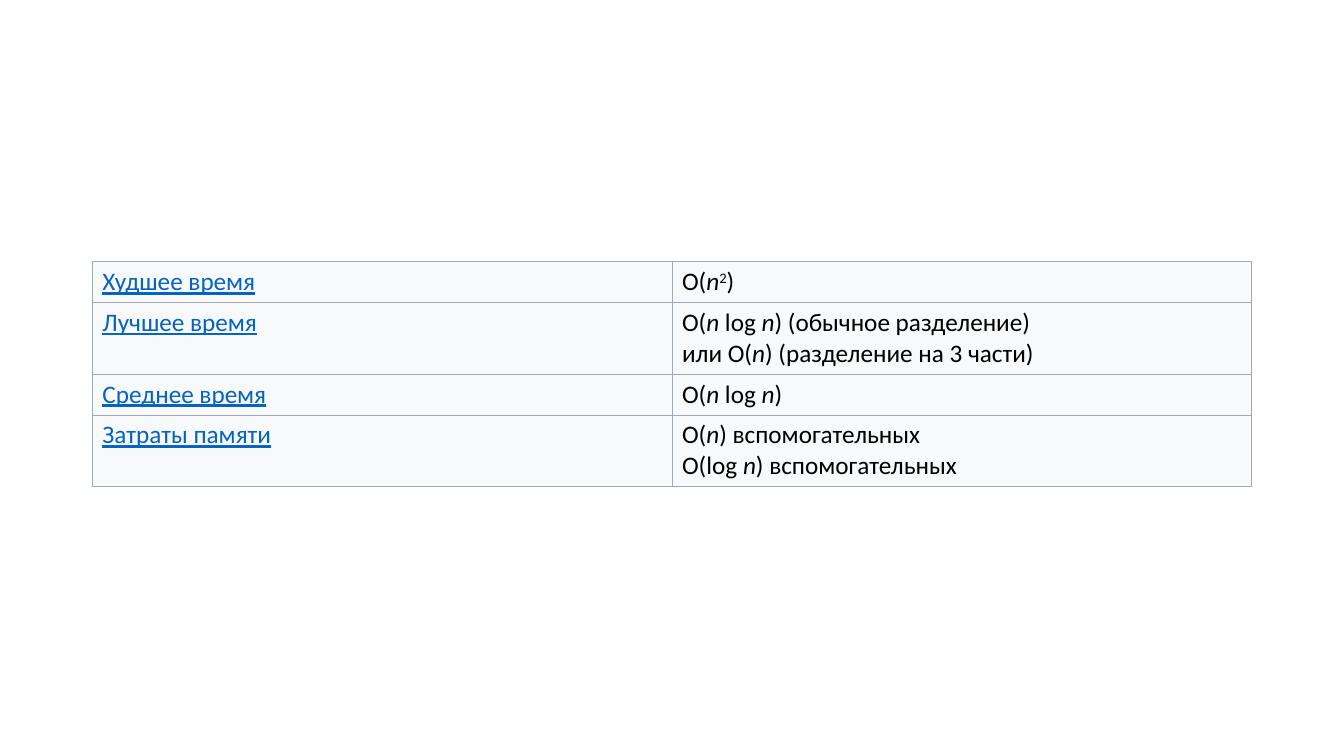
from dataclasses import dataclass

from lxml import etree
from pptx import Presentation
from pptx.dml.color import RGBColor
from pptx.oxml import ns
from pptx.util import Pt


@dataclass(frozen=True)
class Theme:
    font: str = "Calibri"
    size: float = 18
    ink: str = "000000"
    link: str = "0563C1"
    cell: str = "F8F9FA"
    border: str = "A2A9B1"
    border_width: float = 0.6


THEME = Theme()
BLANK_LAYOUT = 6
TABLE_LEFT, TABLE_TOP = 66, 186.8
COLUMN_WIDTH = 414
ROW_HEIGHTS = {1: 29.2, 2: 51}

N = ("n", "italic")
N_LOG_N = [("O(", ""), N, (" log ", ""), N]

COMPLEXITIES = [
    ("Худшее время", [[("O(", ""), N, ("2", "superscript"), (")", "")]]),
    ("Лучшее время", [
        [*N_LOG_N, (") (обычное разделение)", "")],
        [("или O(", ""), N, (") (разделение на 3 части)", "")],
    ]),
    ("Среднее время", [[*N_LOG_N, (")", "")]]),
    ("Затраты памяти", [
        [("O(", ""), N, (") вспомогательных", "")],
        [("O(log ", ""), N, (") вспомогательных", "")],
    ]),
]


def add_run(paragraph, wording, style):
    run = paragraph.add_run()
    run.text = wording
    font = run.font
    font.name = THEME.font
    font.size = Pt(THEME.size)
    font.color.rgb = RGBColor.from_string(THEME.link if style == "link" else THEME.ink)
    font.underline = style == "link"
    font.italic = style == "italic"
    if style == "superscript":
        run._r.get_or_add_rPr().set("baseline", "30000")


def add_border(cell):
    properties = cell._tc.get_or_add_tcPr()
    for side in ("a:lnL", "a:lnR", "a:lnT", "a:lnB"):
        edge = etree.SubElement(properties, ns.qn(side), w=str(Pt(THEME.border_width)))
        fill = etree.SubElement(edge, ns.qn("a:solidFill"))
        etree.SubElement(fill, ns.qn("a:srgbClr"), val=THEME.border)


def fill_cell(cell, lines):
    add_border(cell)
    cell.fill.solid()
    cell.fill.fore_color.rgb = RGBColor.from_string(THEME.cell)
    paragraph = cell.text_frame.paragraphs[0]
    for index, line in enumerate(lines):
        if index:
            paragraph.add_line_break()
        for wording, style in line:
            add_run(paragraph, wording, style)


def add_complexity_table(slide):
    heights = [ROW_HEIGHTS[len(estimate)] for _, estimate in COMPLEXITIES]
    table = slide.shapes.add_table(
        len(COMPLEXITIES), 2, Pt(TABLE_LEFT), Pt(TABLE_TOP),
        Pt(2 * COLUMN_WIDTH), Pt(sum(heights)),
    ).table
    table.first_row = False
    table.horz_banding = False
    for column in table.columns:
        column.width = Pt(COLUMN_WIDTH)
    for row, height, (measure, estimate) in zip(table.rows, heights, COMPLEXITIES):
        row.height = Pt(height)
        fill_cell(row.cells[0], [[(measure, "link")]])
        fill_cell(row.cells[1], estimate)


def main():
    presentation = Presentation()
    presentation.slide_width = Pt(960)
    presentation.slide_height = Pt(540)
    slide = presentation.slides.add_slide(presentation.slide_layouts[BLANK_LAYOUT])
    add_complexity_table(slide)
    presentation.save("out.pptx")


if __name__ == "__main__":
    main()
